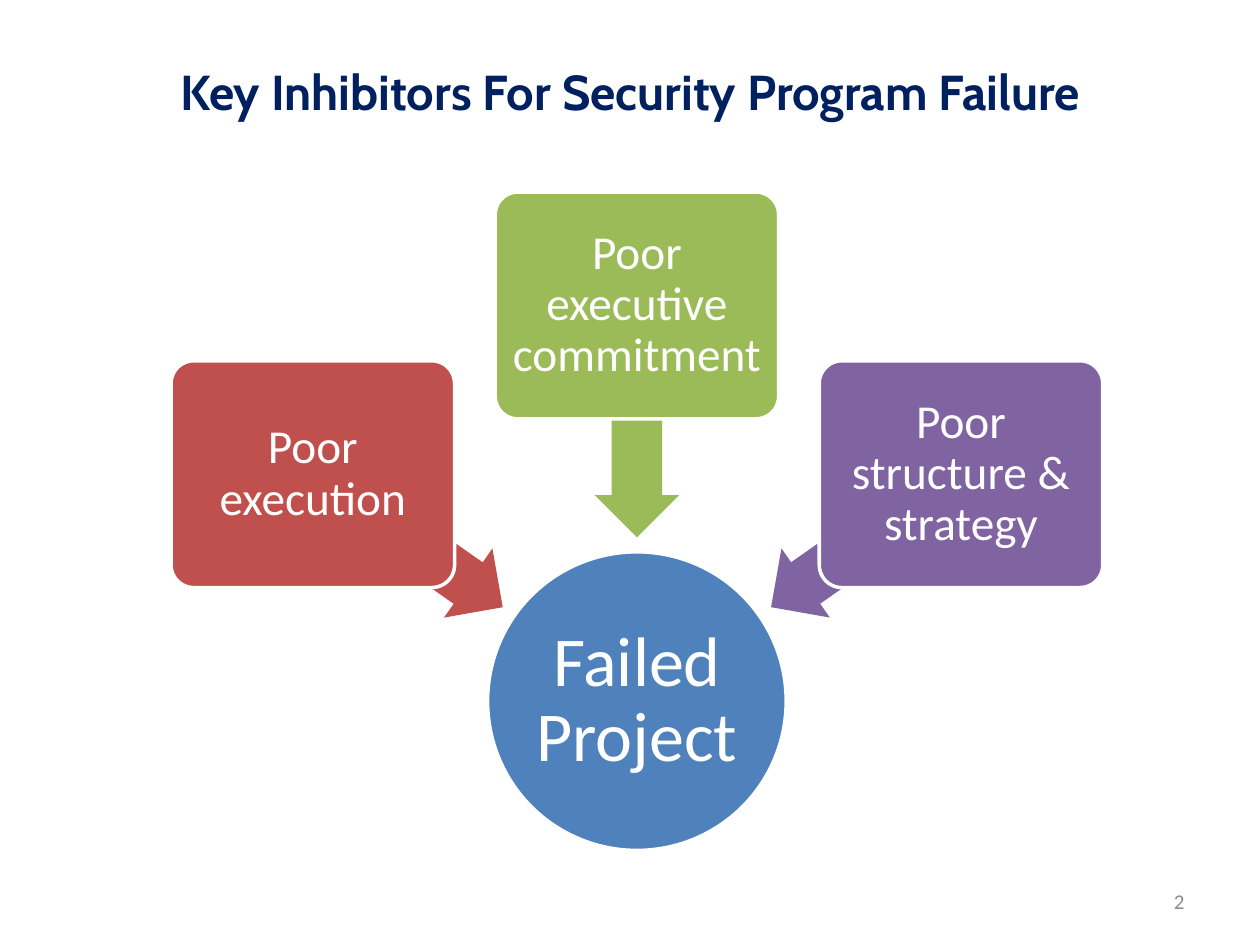
import math

import pptx
import pptx.util
import pptx.dml.color
import pptx.enum.shapes
import pptx.enum.text

Inches = pptx.util.Inches
RGBColor = pptx.dml.color.RGBColor
SHAPE = pptx.enum.shapes.MSO_SHAPE
ALIGN = pptx.enum.text.PP_ALIGN

NAVY = RGBColor(0x00, 0x20, 0x60)
GREY = RGBColor(0x8C, 0x8C, 0x8C)
WHITE = RGBColor(0xFF, 0xFF, 0xFF)
BLUE = RGBColor(0x4F, 0x81, 0xBD)
RED = RGBColor(0xC0, 0x50, 0x4D)
GREEN = RGBColor(0x9B, 0xBB, 0x59)
PURPLE = RGBColor(0x80, 0x64, 0xA2)

# Cause, colour and direction from the hub in degrees
INHIBITORS = [
    ("Poor execution", RED, 215),
    ("Poor executive commitment", GREEN, 270),
    ("Poor structure & strategy", PURPLE, 325),
]


def write(holder, text, size, color, font="Calibri", bold=False,
          align=ALIGN.CENTER, spacing=1.0, inset=None):
    frame = holder.text_frame
    frame.word_wrap = True
    frame.vertical_anchor = pptx.enum.text.MSO_ANCHOR.MIDDLE
    if inset is not None:
        for side in ("left", "right", "top", "bottom"):
            setattr(frame, "margin_" + side, Inches(inset))
    paragraph = frame.paragraphs[0]
    paragraph.alignment = align
    paragraph.line_spacing = spacing
    run = paragraph.add_run()
    run.text = text
    formats = {"name": font, "size": pptx.util.Pt(size), "bold": bold}
    for key, value in formats.items():
        setattr(run.font, key, value)
    run.font.color.rgb = color


def add_label(slide, box, text, **formats):
    label = slide.shapes.add_textbox(*map(Inches, box))
    write(label, text, **formats)


def add_filled(slide, kind, center, size, color, adjustments=(), outlined=True):
    (x, y), (width, height) = center, size
    filled = slide.shapes.add_shape(
        kind, Inches(x - width / 2), Inches(y - height / 2),
        Inches(width), Inches(height))
    filled.shadow.inherit = False
    filled.fill.solid()
    filled.fill.fore_color.rgb = color
    if outlined:
        filled.line.color.rgb = WHITE
        filled.line.width = pptx.util.Pt(2)
    else:
        filled.line.fill.background()
    for index, value in enumerate(adjustments):
        filled.adjustments[index] = value
    return filled


def add_converging_diagram(slide, box):
    left, top, width, height = box
    hub_size = 2.37
    hub_center = (left + width / 2, top + height - hub_size / 2)

    def around_hub(angle, distance):
        turn = math.radians(angle)
        return (hub_center[0] + distance * math.cos(turn),
                hub_center[1] + distance * math.sin(turn))

    # Hub
    hub = add_filled(slide, SHAPE.OVAL, hub_center, (hub_size, hub_size), BLUE)
    write(hub, "Failed Project", 40, WHITE, spacing=0.9, inset=0.03)

    # Causes, each with its arrow towards the hub
    for text, color, angle in INHIBITORS:
        arrow = add_filled(slide, SHAPE.LEFT_ARROW, around_hub(angle, 2.22),
                           (1.84, 0.67), color, (0.6, 0.5), outlined=False)
        arrow.rotation = angle
        cause = add_filled(slide, SHAPE.ROUNDED_RECTANGLE,
                           around_hub(angle, 3.14), (2.25, 1.8), color, (0.1,))
        write(cause, text, 27, WHITE, spacing=0.9, inset=0.06)


def build():
    deck = pptx.Presentation()
    deck.slide_width, deck.slide_height = Inches(10), Inches(7.5)
    slide = deck.slides.add_slide(deck.slide_layouts[6])
    # Page number and title
    add_label(slide, (7.17, 6.95, 2.33, 0.4), "2", size=12, color=GREY,
              align=ALIGN.RIGHT)
    add_label(slide, (0.5, 0.23, 9, 0.98),
              "Key Inhibitors For Security Program Failure",
              size=28, color=NAVY, font="Cabin", bold=True)
    add_converging_diagram(slide, (1.36, 1.53, 7.39, 5.22))
    deck.save("out.pptx")


build()
